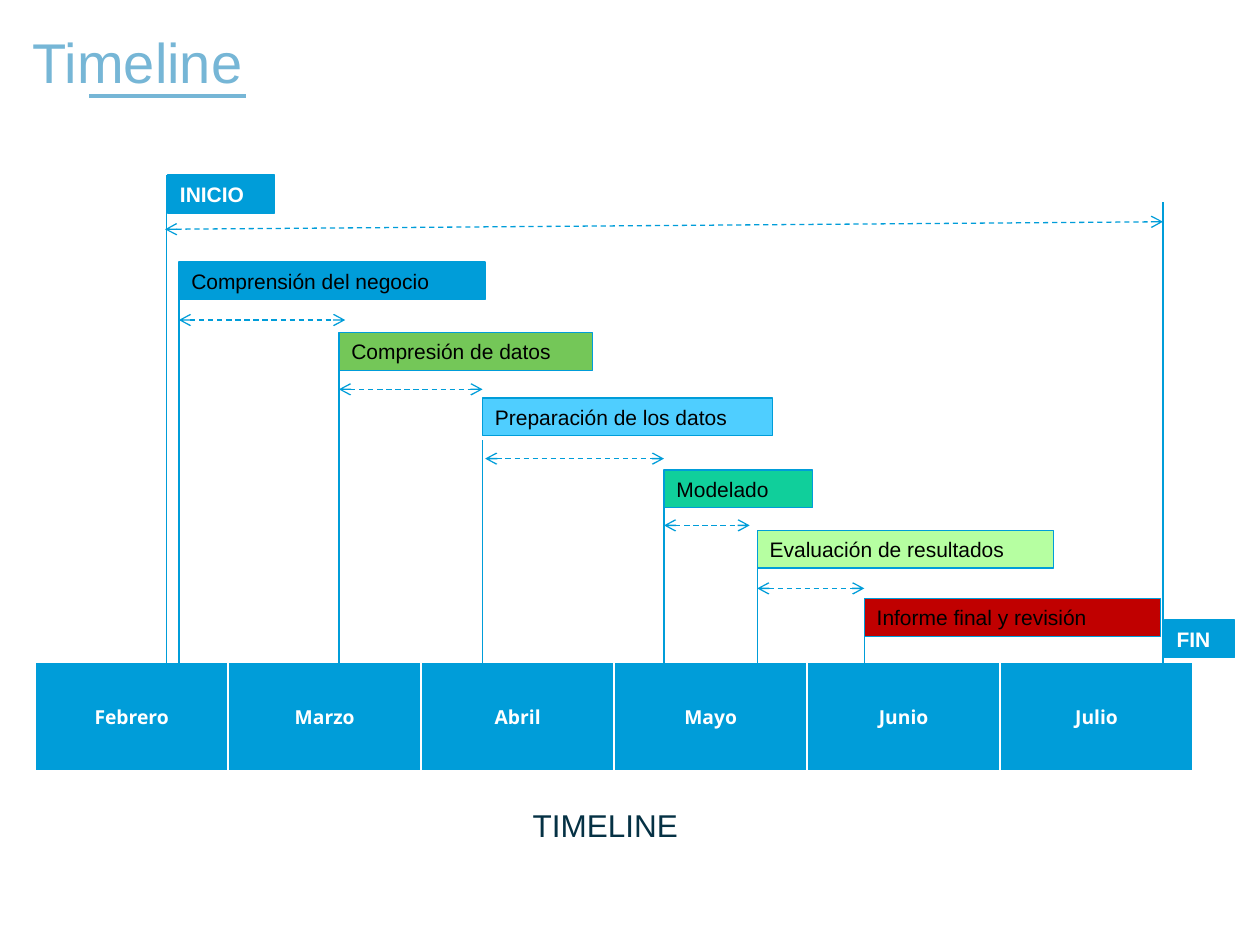
from lxml import etree
from pptx import Presentation
from pptx.dml.color import RGBColor
from pptx.enum import dml, shapes, text
from pptx.oxml.ns import qn
from pptx.util import Inches, Pt

COLORS = {
    "title": "76B6D6", "blue": "009DD9", "green": "74C758", "sky": "4FCEFF",
    "teal": "10CF9B", "lime": "B6FFA1", "red": "C00000",
    "caption": "053144", "white": "FFFFFF", "black": "000000",
}
MONTHS = ["Febrero", "Marzo", "Abril", "Mayo", "Junio", "Julio"]
TABLE_TOP = 5.26
BOX_HEIGHT = 0.3

# label, left, top, width, fill, top of the line down to the months
PHASES = [
    ("Comprensión del negocio", 1.42, 2.08, 2.43, "blue", 2.37),
    ("Compresión de datos", 2.69, 2.64, 2.01, "green", 2.89),
    ("Preparación de los datos", 3.83, 3.16, 2.3, "sky", 3.49),
    ("Modelado", 5.27, 3.73, 1.18, "teal", 3.96),
    ("Evaluación de resultados", 6.01, 4.21, 2.35, "lime", 4.51),
    ("Informe final y revisión", 6.86, 4.75, 2.35, "red", 5.01),
]
# x1, y1, x2, y2
SPANS = [
    (1.31, 1.82, 9.23, 1.76),
    (1.42, 2.54, 2.74, 2.54),
    (2.69, 3.09, 3.83, 3.09),
    (3.85, 3.64, 5.27, 3.64),
    (5.27, 4.17, 5.95, 4.17),
    (6.01, 4.67, 6.86, 4.67),
]


def rgb(name):
    return RGBColor.from_string(COLORS[name])


def write(tf, words, size, color, bold=False, font="Arial"):
    tf.text = words
    p = tf.paragraphs[0]
    f = p.runs[0].font
    f.name, f.size, f.bold = font, Pt(size), bold
    f.color.rgb = rgb(color)
    return p


def add_title(s, words):
    sp = s.shapes.title
    sp.left, sp.top, sp.width, sp.height = map(Inches, (0.16, 0.21, 9.72, 0.55))
    tf = sp.text_frame
    tf.auto_size = text.MSO_AUTO_SIZE.NONE
    tf.vertical_anchor = text.MSO_ANCHOR.MIDDLE
    write(tf, words, 32, "title").alignment = text.PP_ALIGN.LEFT


def add_caption(s, words):
    sp = s.shapes.add_textbox(*map(Inches, (4.13, 6.35, 3.07, 0.4)))
    sp.text_frame.word_wrap = True
    write(sp.text_frame, words, 18, "caption")


def add_box(s, words, left, top, width, fill, color="black", bold=False):
    sp = s.shapes.add_shape(shapes.MSO_SHAPE.RECTANGLE,
                            *map(Inches, (left, top, width, BOX_HEIGHT)))
    sp.shadow.inherit = False
    sp.fill.solid()
    sp.fill.fore_color.rgb = rgb(fill)
    sp.line.color.rgb = rgb("blue")
    sp.line.width = Pt(0.75)
    tf = sp.text_frame
    tf.word_wrap = True
    tf.vertical_anchor = text.MSO_ANCHOR.TOP
    write(tf, words, 12, color, bold).alignment = text.PP_ALIGN.LEFT


def add_line(s, x1, y1, x2, y2, color="blue", width=0.75):
    line = s.shapes.add_connector(shapes.MSO_CONNECTOR.STRAIGHT,
                                  *map(Inches, (x1, y1, x2, y2)))
    line.line.color.rgb = rgb(color)
    line.line.width = Pt(width)
    etree.SubElement(line._element.spPr, qn("a:effectLst"))
    return line


def add_span(s, x1, y1, x2, y2):
    """Dashed line with an arrowhead at both ends."""
    line = add_line(s, x1, y1, x2, y2)
    line.line.dash_style = dml.MSO_LINE.DASH
    ln = line.line._get_or_add_ln()
    for end in ("a:headEnd", "a:tailEnd"):
        etree.SubElement(ln, qn(end), type="arrow")


def set_borders(cell):
    tcPr = cell._tc.get_or_add_tcPr()
    for i, side in enumerate(("a:lnL", "a:lnR", "a:lnT", "a:lnB")):
        ln = etree.Element(qn(side), w=str(Pt(1)))
        fill = etree.SubElement(ln, qn("a:solidFill"))
        etree.SubElement(fill, qn("a:srgbClr"), val=COLORS["white"])
        tcPr.insert(i, ln)


def add_months(s):
    frame = s.shapes.add_table(1, len(MONTHS), *map(Inches, (0.28, TABLE_TOP, 9.19, 0.86)))
    for cell, month in zip(frame.table.rows[0].cells, MONTHS):
        cell.fill.solid()
        cell.fill.fore_color.rgb = rgb("blue")
        cell.margin_left = cell.margin_right = 0
        cell.margin_top = cell.margin_bottom = Inches(0.04)
        cell.vertical_anchor = text.MSO_ANCHOR.MIDDLE
        p = write(cell.text_frame, month, 11, "white", True, "Open Sans")
        p.alignment = text.PP_ALIGN.CENTER
        set_borders(cell)


def main():
    prs = Presentation()
    prs.slide_width, prs.slide_height = Inches(10), Inches(7.5)
    s = prs.slides.add_slide(prs.slide_layouts[5])

    add_title(s, "Timeline")
    add_line(s, 0.71, 0.76, 1.95, 0.76, "title", 2.25)
    add_months(s)

    add_box(s, "INICIO", 1.33, 1.39, 0.85, "blue", "white", True)
    add_line(s, 1.32, TABLE_TOP, 1.32, 1.39)
    add_box(s, "FIN", 9.24, 4.92, 0.56, "blue", "white", True)
    add_line(s, 9.23, TABLE_TOP, 9.23, 1.6)

    for label, left, top, width, fill, line_top in PHASES:
        add_box(s, label, left, top, width, fill)
        add_line(s, left, TABLE_TOP, left, line_top)
    for span in SPANS:
        add_span(s, *span)

    add_caption(s, "TIMELINE")
    prs.save("out.pptx")


if __name__ == "__main__":
    main()
